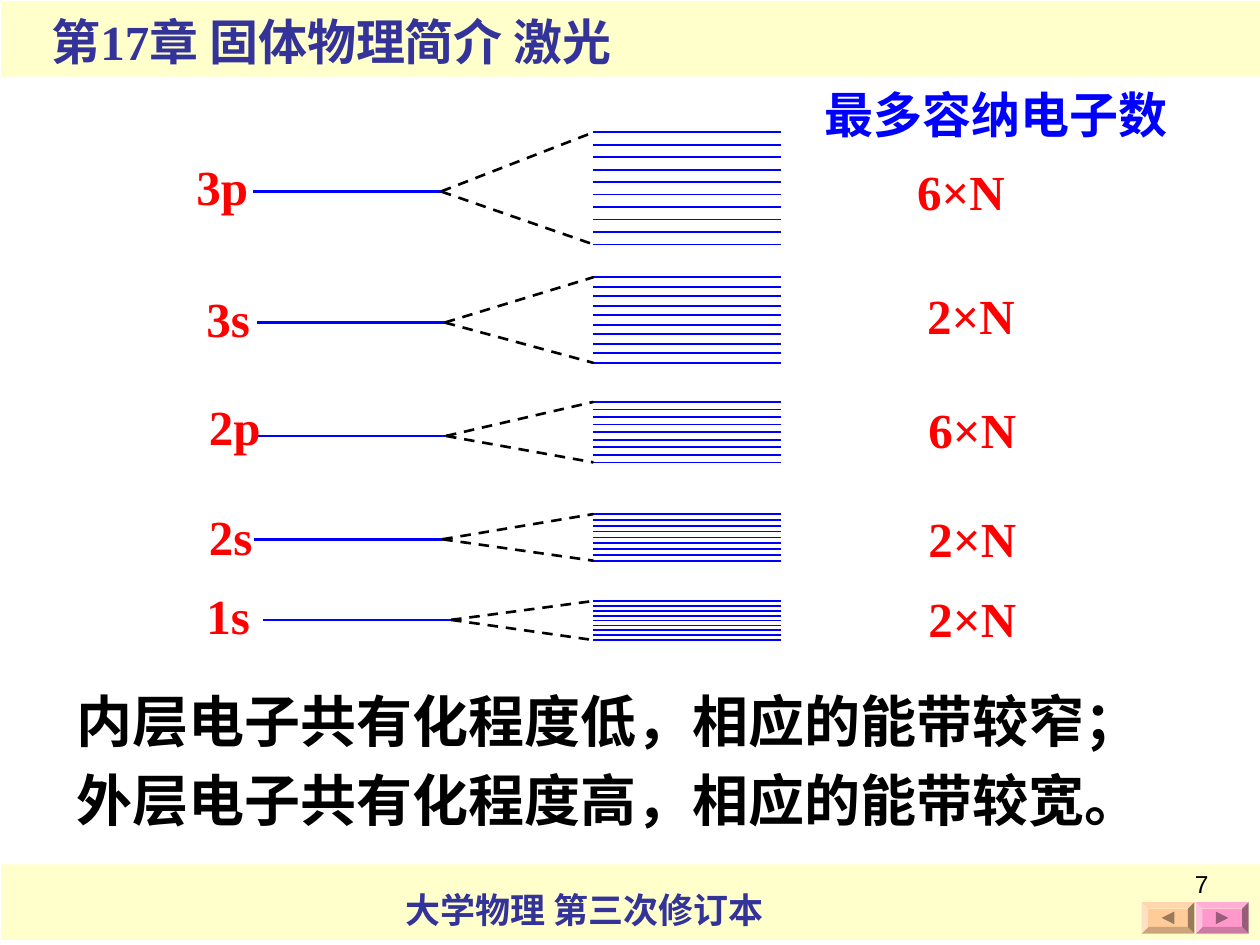
import dataclasses

import lxml.etree
import pptx
import pptx.dml.color
import pptx.enum.dml
import pptx.enum.shapes
import pptx.enum.text
import pptx.oxml.ns
import pptx.util
from pptx.util import Inches

COLORS = {
    "bar": "FFFFCC", "heading": "333399", "level": "0000FF", "label": "FF0000",
    "text": "000000", "next": "FF99CC", "next_arrow": "995C7A",
    "previous": "FFCC99", "previous_arrow": "997A5C",
}
SERIF = "Times New Roman"
LINE_LENGTH = 1.49
BAND_OFFSET = 4.71


@dataclasses.dataclass
class Level:
    """Energy level with its band, in inches; tops are relative to the band."""
    name: str
    capacity: str
    top: float
    height: float
    line_count: int
    left: float
    line_top: float
    label_left: float
    label_top: float
    capacity_left: float
    capacity_top: float


LEVELS = [
    Level("3p", "6×N", 1.05, 0.89, 10, 2.01, 0.47, 1.46, 0.14, 7.18, 0.18),
    Level("3s", "2×N", 2.2, 0.68, 10, 2.04, 0.36, 1.54, 0.04, 7.26, 0.02),
    Level("2p", "6×N", 3.19, 0.48, 9, 2.05, 0.27, 1.56, -0.09, 7.27, -0.07),
    Level("2s", "2×N", 4.08, 0.37, 9, 2.02, 0.2, 1.56, -0.11, 7.27, -0.09),
    Level("1s", "2×N", 4.77, 0.31, 9, 2.09, 0.15, 1.54, -0.17, 7.27, -0.15),
]


def color(name):
    """Return the named colour."""
    return pptx.dml.color.RGBColor.from_string(COLORS[name])


def paint(shape, fill):
    """Fill a shape flat, without outline or shadow."""
    shape.shadow.inherit = False
    shape.fill.solid()
    shape.fill.fore_color.rgb = color(fill)
    shape.line.fill.background()


def add_text(slide, text, left, top, width, height, size, ink,
             align="LEFT", font=SERIF, bold=True):
    """Add one line of text in a box."""
    shape = slide.shapes.add_textbox(Inches(left), Inches(top), Inches(width), Inches(height))
    frame = shape.text_frame
    frame.word_wrap = True
    frame.text = text
    paragraph = frame.paragraphs[0]
    paragraph.alignment = getattr(pptx.enum.text.PP_ALIGN, align)
    for run in paragraph.runs:
        run.font.name = font
        run.font.size = pptx.util.Pt(size)
        run.font.bold = bold
        run.font.color.rgb = color(ink)


def add_line(slide, start, end, ink, weight, dashed=False):
    """Draw a straight line between two points."""
    line = slide.shapes.add_connector(
        pptx.enum.shapes.MSO_CONNECTOR.STRAIGHT,
        Inches(start[0]), Inches(start[1]), Inches(end[0]), Inches(end[1]))
    line.line.color.rgb = color(ink)
    line.line.width = pptx.util.Pt(weight)
    if dashed:
        line.line.dash_style = pptx.enum.dml.MSO_LINE.DASH
    properties = line._element.spPr
    lxml.etree.SubElement(properties, pptx.oxml.ns.qn("a:effectLst"))


def add_bar(slide, left, top, width, height):
    """Add a pale bar across the slide."""
    bar = slide.shapes.add_shape(
        pptx.enum.shapes.MSO_SHAPE.RECTANGLE,
        Inches(left), Inches(top), Inches(width), Inches(height))
    paint(bar, "bar")


def add_button(slide, left, top, width, height, name, direction):
    """Add a bevelled button whose triangle points in the direction (1 or -1)."""
    button = slide.shapes.add_shape(
        pptx.enum.shapes.MSO_SHAPE.BEVEL,
        Inches(left), Inches(top), Inches(width), Inches(height))
    button.adjustments[0] = 0.21
    paint(button, name)
    middle_x, middle_y = left + width / 2, top + height / 2
    base = middle_x - direction * 0.05
    builder = slide.shapes.build_freeform(Inches(base), Inches(middle_y - 0.05))
    builder.add_line_segments([
        (Inches(middle_x + direction * 0.05), Inches(middle_y)),
        (Inches(base), Inches(middle_y + 0.05))])
    paint(builder.convert_to_shape(), name + "_arrow")


def add_header(slide, left, top, width, height):
    """Add the chapter bar."""
    add_bar(slide, left, top, width, height)
    add_text(slide, "第17章 固体物理简介 激光", left + 0.3, top + 0.03, 5.04, 0.57,
             28, "heading")


def add_footer(slide, left, top, width, height):
    """Add the bottom bar with book title, page number and buttons."""
    add_bar(slide, left, top, width, height)
    add_text(slide, "大学物理 第三次修订本", left + 3.11, top + 0.14, 3.12, 0.44,
             20, "heading")
    add_button(slide, left + 9.48, top + 0.3, 0.42, 0.25, "next", 1)
    add_button(slide, left + 9.05, top + 0.3, 0.42, 0.25, "previous", -1)
    add_text(slide, "7", left + 7.35, top - 0.01, 2.33, 0.52, 14, "text",
             align="RIGHT", font="Arial", bold=False)


def add_level(slide, level):
    """Draw a level, the fan to its band, the band and both labels."""
    line_y = level.top + level.line_top
    tip = (level.left + LINE_LENGTH, line_y)
    add_line(slide, (level.left, line_y), tip, "level", 1.5)
    gap = level.height / (level.line_count - 1)
    for index in range(level.line_count):
        y = level.top + index * gap
        add_line(slide, (BAND_OFFSET, y), (BAND_OFFSET + LINE_LENGTH, y), "level", 1)
    for y in (level.top, level.top + level.height):
        add_line(slide, tip, (BAND_OFFSET, y), "text", 1.5, dashed=True)
    add_text(slide, level.name, level.label_left, level.top + level.label_top,
             0.65, 0.57, 28, "label")
    add_text(slide, level.capacity, level.capacity_left, level.top + level.capacity_top,
             1.12, 0.57, 28, "label")


def add_conclusion(slide, left, top, width, height):
    """Add the two closing statements, one below the other."""
    statements = ["内层电子共有化程度低，相应的能带较窄；", "外层电子共有化程度高，相应的能带较宽。"]
    for index, statement in enumerate(statements):
        add_text(slide, statement, left, top + index * height / 2, width, 0.64, 32, "text")


def main():
    """Build and save the slide."""
    presentation = pptx.Presentation()
    presentation.slide_width, presentation.slide_height = Inches(10), Inches(7.5)
    slide = presentation.slides.add_slide(presentation.slide_layouts[6])
    add_header(slide, 0.01, 0.01, 9.99, 0.6)
    add_footer(slide, 0.01, 6.86, 9.99, 0.6)
    add_text(slide, "最多容纳电子数", 6.26, 0.62, 3.29, 0.57, 28, "level", align="CENTER")
    for level in LEVELS:
        add_level(slide, level)
    add_conclusion(slide, 0.51, 5.4, 9.1, 1.26)
    presentation.save("out.pptx")


if __name__ == "__main__":
    main()
